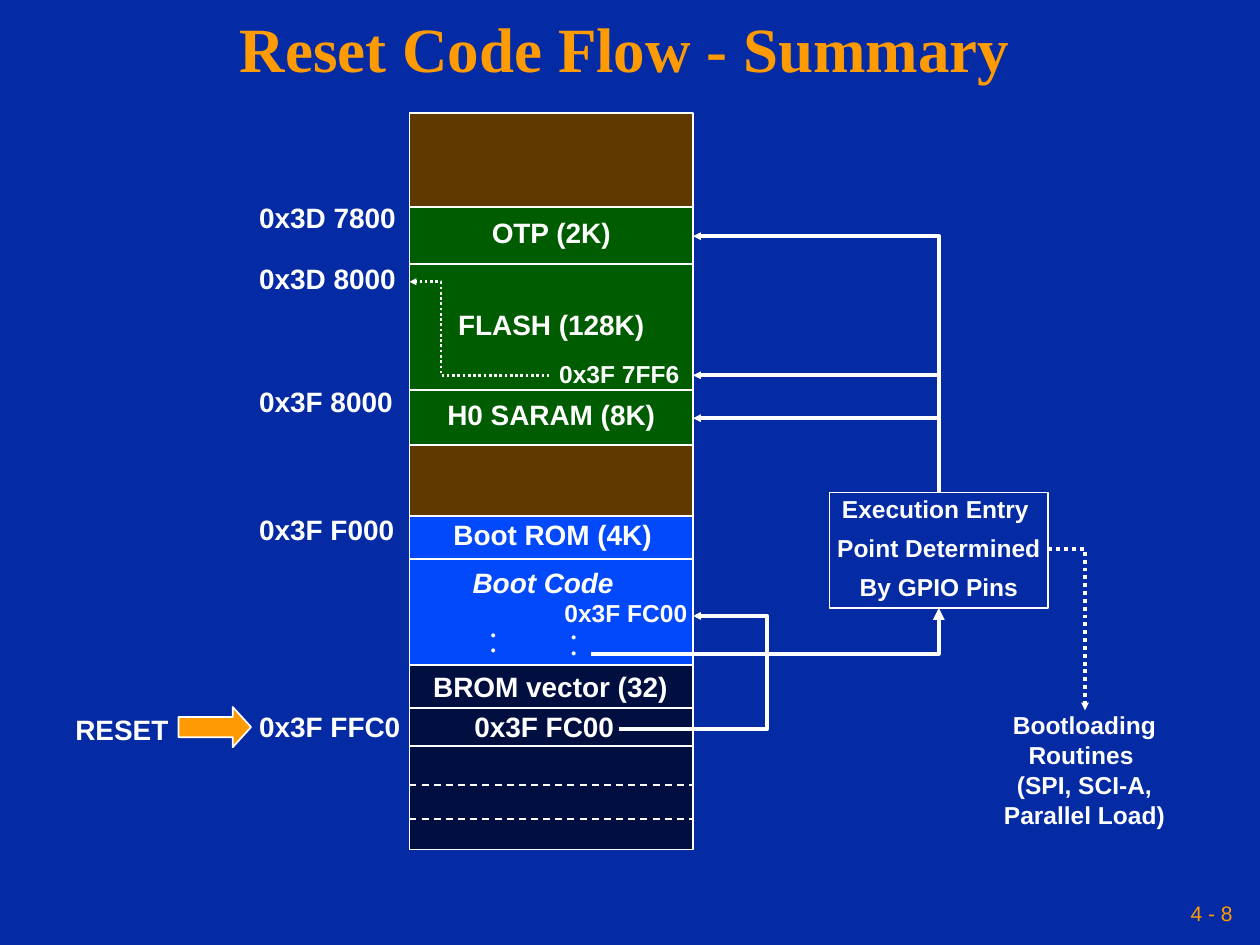
import pptx
import pptx.dml.color
import pptx.enum.dml
import pptx.enum.shapes
import pptx.enum.text
import pptx.oxml
import pptx.oxml.ns
import pptx.util

Pt = pptx.util.Pt
SHAPE = pptx.enum.shapes.MSO_SHAPE
CONNECTOR = pptx.enum.shapes.MSO_CONNECTOR
ALIGN = pptx.enum.text.PP_ALIGN
DASH = pptx.enum.dml.MSO_LINE
qn = pptx.oxml.ns.qn

THEME = {
    "background": "042AA4", "accent": "FE9B03", "white": "FFFFFF",
    "unused": "603900", "user": "005C00", "boot": "0249FC", "vector": "000F40",
    "title font": "Times New Roman", "font": "Arial",
    "title": 36, "label": 16, "small": 14, "number": 12, "dot": 8,
    "thin": 1, "dotted": 1.5, "thick": 2.25,
}

# Memory map, from top to bottom: bottom edge, colour, text
MAP_LEFT, MAP_RIGHT, MAP_TOP = 234, 396, 64.5
BANDS = [
    (118.5, "unused", ""),
    (151, "user", "OTP (2K)"),
    (223, "user", "FLASH (128K)"),
    (254.5, "user", "H0 SARAM (8K)"),
    (295, "unused", ""),
    (380, "boot", ""),
    (485.5, "vector", ""),
]
DIVIDERS = [(319.5, None), (404.5, None), (426.5, None), (448.5, DASH.DASH), (468, DASH.DASH)]

# Text, left, top, width
ADDRESS_LEFT, ADDRESS_WIDTH = 141, 98
LABELS = [
    ("0x3D 7800", ADDRESS_LEFT, 114.5, ADDRESS_WIDTH),
    ("0x3D 8000", ADDRESS_LEFT, 149.5, ADDRESS_WIDTH),
    ("0x3F 8000", ADDRESS_LEFT, 220, ADDRESS_WIDTH),
    ("0x3F F000", ADDRESS_LEFT, 293, ADDRESS_WIDTH),
    ("0x3F FFC0", ADDRESS_LEFT, 405.5, ADDRESS_WIDTH),
    ("RESET", 36, 407.5, 72),
    ("Boot ROM (4K)", 252, 296, 132),
    ("BROM vector (32)", 240.5, 382.5, 152),
    ("0x3F FC00", 264, 405.5, ADDRESS_WIDTH),
]
SMALL_LABELS = [("0x3F 7FF6", 312.5, 205, 88), ("0x3F FC00", 315.5, 341.5, 88)]
BOOT_CODE = ("Boot Code", 263, 323.5, 100)
DOTS = [(273.5, 356.5), (273.5, 365), (319.5, 357.5), (319.5, 366.5)]
ROUTINES = ["Bootloading", "Routines ", "(SPI, SCI-A,", "Parallel Load)"]
DECISION = ["Execution Entry ", "Point Determined", "By GPIO Pins"]
DECISION_BOX = (474, 281.5, 125, 66)
DECISION_MIDDLE = 536.5
ENTRY_POINTS = [239, 214.5, 135]


def rgb(name):
    return pptx.dml.color.RGBColor.from_string(THEME[name])


def write(box, lines, size, color="white", font="font", align=ALIGN.LEFT, spacing=0.8,
          bold=True, italic=False, wrap=True, inset=7.2):
    frame = box.text_frame
    frame.text = "\n".join(lines)
    frame.word_wrap = wrap
    frame.margin_left = frame.margin_right = Pt(inset)
    frame.margin_top = frame.margin_bottom = Pt(3.6)
    for index, para in enumerate(frame.paragraphs):
        para.alignment = align
        para.line_spacing = spacing
        para.space_before = Pt(8.8 if index else 0)
        for span in para.runs:
            span.font.name = THEME[font]
            span.font.size = Pt(THEME[size])
            span.font.bold = bold
            span.font.italic = italic
            span.font.color.rgb = rgb(color)


def add_label(page, lines, left, top, width, size, height=23, **style):
    box = page.shapes.add_textbox(Pt(left), Pt(top), Pt(width), Pt(height))
    write(box, lines, size, **style)


def add_block(page, kind, left, top, width, height, fill, lines=(), size="label"):
    block = page.shapes.add_shape(kind, Pt(left), Pt(top), Pt(width), Pt(height))
    block.shadow.inherit = False
    block.fill.solid()
    block.fill.fore_color.rgb = rgb(fill)
    block.line.color.rgb = rgb("white")
    block.line.width = Pt(THEME["thin"])
    if lines:
        write(block, lines, size, align=ALIGN.CENTER, wrap=False)
        block.text_frame.vertical_anchor = pptx.enum.text.MSO_ANCHOR.MIDDLE
    return block


def add_line(page, kind, start, end, width="thick", dash=None, arrow=None, arrow_size="sm"):
    """Draw a connector; arrow is headEnd (at start) or tailEnd (at end)."""
    line = page.shapes.add_connector(kind, *(Pt(value) for value in (*start, *end)))
    line.line.color.rgb = rgb("white")
    line.line.width = Pt(THEME[width])
    if dash:
        line.line.dash_style = dash
    properties = line._element.spPr
    if arrow:
        outline = properties.find(qn("a:ln"))
        outline.append(pptx.oxml.parse_xml(
            f'<a:{arrow} {pptx.oxml.ns.nsdecls("a")} type="triangle" '
            f'w="{arrow_size}" len="{arrow_size}"/>'))
    properties.append(pptx.oxml.parse_xml(f'<a:effectLst {pptx.oxml.ns.nsdecls("a")}/>'))
    return line


def add_elbow(page, start, end, turn=None, **style):
    """Leave start sideways, and turn once, or twice when the x of the turn is given."""
    line = add_line(page, CONNECTOR.ELBOW, start, end, **style)
    geometry = line._element.spPr.find(qn("a:prstGeom"))
    if turn is None:
        geometry.set("prst", "bentConnector2")
    else:
        share = round((turn - start[0]) / (end[0] - start[0]) * 100000)
        geometry.find(qn("a:avLst")).append(pptx.oxml.parse_xml(
            f'<a:gd {pptx.oxml.ns.nsdecls("a")} name="adj1" fmla="val {share}"/>'))


def main():
    deck = pptx.Presentation()
    deck.slide_width, deck.slide_height = Pt(720), Pt(540)
    page = deck.slides.add_slide(deck.slide_layouts[5])
    page.background.fill.solid()
    page.background.fill.fore_color.rgb = rgb("background")

    title = page.shapes.title
    title.left, title.top, title.width, title.height = Pt(0), Pt(0), Pt(714), Pt(60)
    write(title, ["Reset Code Flow - Summary"], "title", "accent", "title font",
          ALIGN.CENTER, 0.9, inset=3.6)
    title.text_frame.vertical_anchor = pptx.enum.text.MSO_ANCHOR.MIDDLE

    top = MAP_TOP
    for bottom, fill, text in BANDS:
        add_block(page, SHAPE.RECTANGLE, MAP_LEFT, top, MAP_RIGHT - MAP_LEFT, bottom - top,
                  fill, [text] if text else ())
        top = bottom
    for y, dash in DIVIDERS:
        add_line(page, CONNECTOR.STRAIGHT, (MAP_LEFT, y), (MAP_RIGHT, y), "thin", dash)

    for size, labels in (("label", LABELS), ("small", SMALL_LABELS)):
        for text, *place in labels:
            add_label(page, [text], *place, size)
    add_label(page, [BOOT_CODE[0]], *BOOT_CODE[1:], "label", italic=True)
    for left, top in DOTS:
        add_label(page, ["•"], left, top, 20, "dot", height=15)
    add_label(page, ROUTINES, 561.5, 409.5, 116.5, "small", height=67.5,
              align=ALIGN.CENTER, spacing=0.5)
    add_label(page, ["4 - 8"], 492, 511, 216, "number", color="accent", align=ALIGN.RIGHT,
              spacing=1, bold=False, inset=3.6)

    arrow = add_block(page, SHAPE.RIGHT_ARROW, 102, 404, 41.5, 23, "accent")
    arrow.adjustments[1] = 0.456
    add_block(page, SHAPE.RECTANGLE, *DECISION_BOX, "background", DECISION, "small")

    for y in ENTRY_POINTS:
        add_elbow(page, (MAP_RIGHT, y), (DECISION_MIDDLE, 281.5), arrow="headEnd")
    add_elbow(page, (337.5, 373.5), (DECISION_MIDDLE, 347.5), arrow="tailEnd",
              arrow_size="med")
    add_elbow(page, (599, 314), (620, 406), dash=DASH.ROUND_DOT, arrow="tailEnd")
    add_elbow(page, (354, 416.5), (MAP_RIGHT, 352), turn=438.5, arrow="tailEnd")
    add_elbow(page, (314, 214.5), (MAP_LEFT, 161), turn=252, width="dotted",
              dash=DASH.ROUND_DOT, arrow="tailEnd")
    deck.save("out.pptx")


if __name__ == "__main__":
    main()
